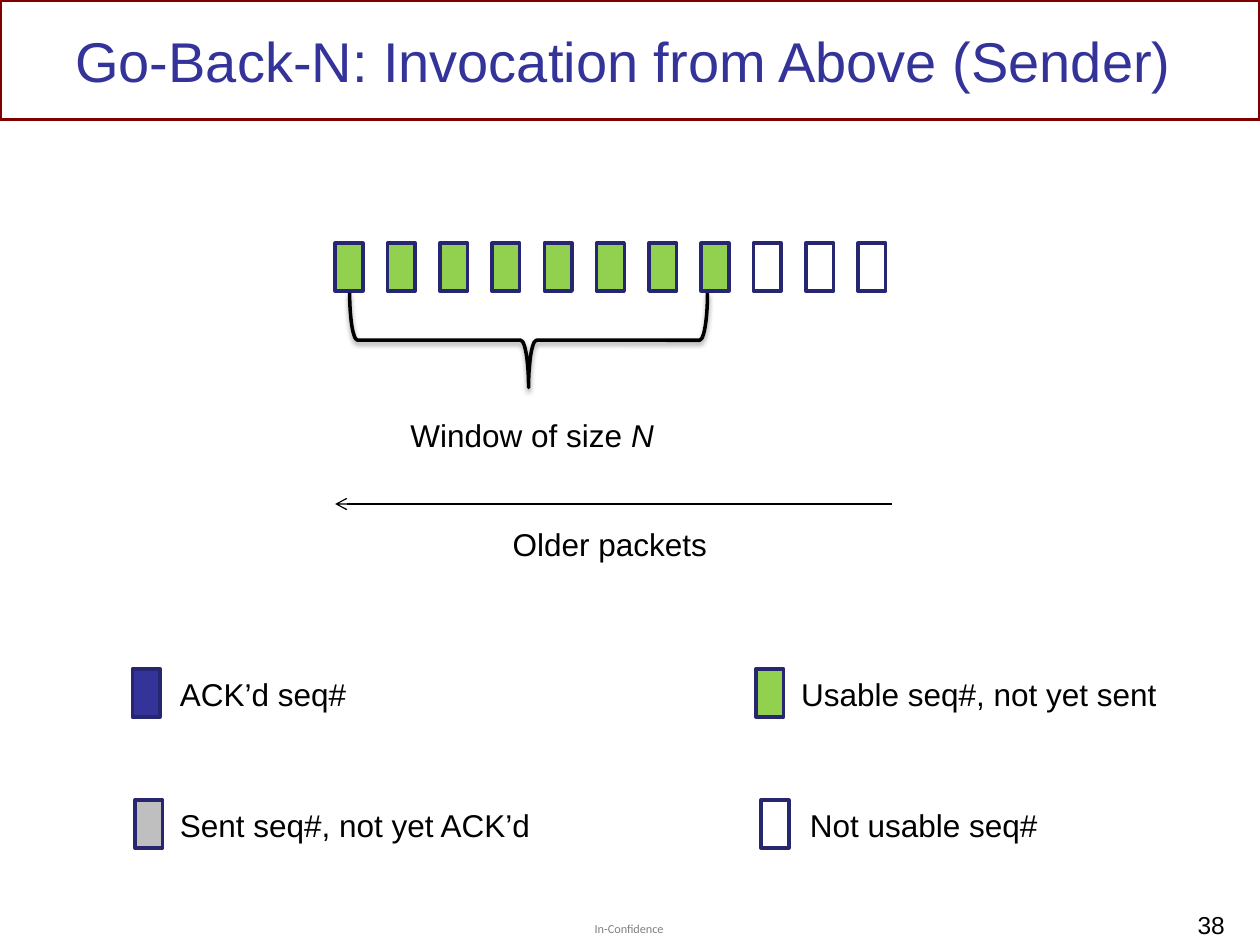
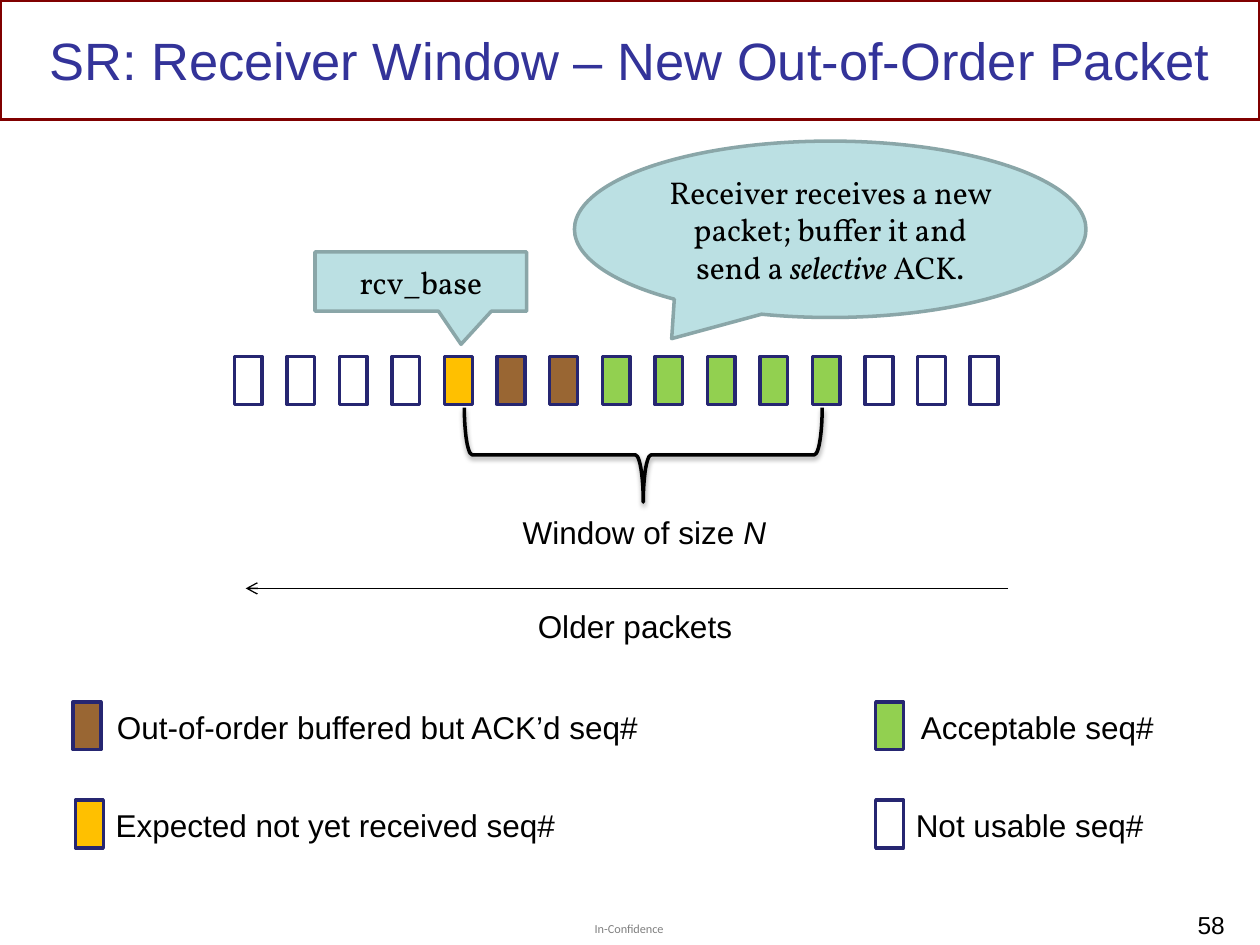
"""Build two slides on sliding-window protocols, laid out on a grid of 100 columns by 75 rows."""
from lxml import etree
from pptx import Presentation, util as u
from pptx.dml.color import RGBColor
from pptx.enum import shapes, text
from pptx.oxml.ns import qn

COLUMNS, ROWS = 100, 75
CELL = u.Inches(0.1)
PACKET_WIDTH, PACKET_HEIGHT = 2.2, 3.8
BRACE_DEPTH, BRACE_SPAN = 7.5, 28.4
COLORS = {
    "title": "333399", "band": "800000", "text": "000000", "footer": "808080",
    "outline": "262671", "callout": "BBE0E3", "callout_line": "8AA6A8",
    "acked": "333399", "sent": "BFBFBF", "usable": "92D050", "unusable": "FFFFFF",
    "expected": "FFC000", "buffered": "996633",
}
WINDOW_RUNS = [("Window of size ", False), ("N", True)]


def rgb(name):
    """Return the named colour."""
    return RGBColor.from_string(COLORS[name])


def grid(*cells):
    """Turn grid units into lengths."""
    return [round(cell * CELL) for cell in cells]


def write(shape, runs, size=18, font="Arial", color="text", align=None, anchor=None):
    """Fill a shape with one paragraph of (words, italic) runs."""
    frame = shape.text_frame
    frame.word_wrap = True
    frame.vertical_anchor = anchor
    paragraph = frame.paragraphs[0]
    paragraph.alignment = align
    paragraph.font.size = u.Pt(size)
    paragraph.font.name = font
    paragraph.font.color.rgb = rgb(color)
    for words, italic in runs:
        run = paragraph.add_run()
        run.text = words
        if italic:
            run.font.italic = True


def add_text(slide, box, runs, inset=True, **style):
    """Add a text box."""
    shape = slide.shapes.add_textbox(*grid(*box))
    if not inset:
        frame = shape.text_frame
        frame.margin_left = frame.margin_right = frame.margin_top = frame.margin_bottom = 0
    write(shape, runs, **style)
    return shape


def add_box(slide, kind, box, fill, line):
    """Add a preset shape with an outline and an optional fill."""
    shape = slide.shapes.add_shape(kind, *grid(*box))
    shape.shadow.inherit = False
    if fill:
        shape.fill.solid()
        shape.fill.fore_color.rgb = rgb(fill)
    else:
        shape.fill.background()
    shape.line.color.rgb = rgb(line)
    shape.line.width = u.Pt(2)
    return shape


def add_packet(slide, left, top, state):
    """Add one packet coloured by its state."""
    add_box(slide, shapes.MSO_SHAPE.RECTANGLE,
            (left, top, PACKET_WIDTH, PACKET_HEIGHT), state, "outline")


def add_packets(slide, first, last, top, groups):
    """Spread a row of packets evenly from first to last left edge."""
    states = [state for state, count in groups for _ in range(count)]
    pitch = (last - first) / (len(states) - 1)
    for index, state in enumerate(states):
        add_packet(slide, first + index * pitch, top, state)


def add_window(slide, center, middle, label_left, label_top):
    """Add the brace under the window and its label."""
    brace = add_box(slide, shapes.MSO_SHAPE.RIGHT_BRACE,
                    (center - BRACE_DEPTH / 2, middle - BRACE_SPAN / 2, BRACE_DEPTH, BRACE_SPAN),
                    None, "text")
    brace.rotation = 90
    effects = brace._element.spPr.find(qn("a:effectLst"))
    shadow = etree.SubElement(effects, qn("a:outerShdw"), blurRad=str(u.Pt(3.1)),
                              dist=str(u.Pt(1.6)), dir="5400000", rotWithShape="0")
    color = etree.SubElement(shadow, qn("a:srgbClr"), val=COLORS["text"])
    etree.SubElement(color, qn("a:alpha"), val="38000")
    add_text(slide, (label_left, label_top, 23, 4), WINDOW_RUNS)


def add_age_arrow(slide, start, end, top, label_left, label_top):
    """Add the arrow that points to older packets and its label."""
    arrow = slide.shapes.add_connector(shapes.MSO_CONNECTOR.STRAIGHT,
                                       *grid(start, top, end, top))
    arrow.line.color.rgb = rgb("text")
    arrow.line.width = u.Pt(0.75)
    etree.SubElement(arrow.line._get_or_add_ln(), qn("a:tailEnd"), type="arrow")
    etree.SubElement(arrow._element.spPr, qn("a:effectLst"))
    add_text(slide, (label_left, label_top, 20, 4), [("Older packets", False)])


def add_legend(slide, top, entries):
    """Add one legend row of (state, swatch left, label left, label) entries."""
    for state, swatch_left, label_left, label in entries:
        add_packet(slide, swatch_left, top, state)
        add_text(slide, (label_left, top, min(46, COLUMNS - label_left), 4), [(label, False)])


def add_callout(slide, kind, box, tip, runs):
    """Add a speech callout whose tip is given as shares of its size."""
    callout = add_box(slide, kind, box, "callout", "callout_line")
    callout.adjustments[0], callout.adjustments[1] = tip
    write(callout, runs, font="Vollkorn", align=text.PP_ALIGN.CENTER,
          anchor=text.MSO_ANCHOR.MIDDLE)


def add_slide(presentation, title, title_size, number):
    """Add a blank slide with title band, footer and page number."""
    slide = presentation.slides.add_slide(presentation.slide_layouts[6])
    add_box(slide, shapes.MSO_SHAPE.RECTANGLE, (0, 0, COLUMNS, 9.5), None, "band")
    add_text(slide, (47.2, 73.1, 8, 1.2), [("In-Confidence", False)], inset=False,
             size=7, font="Calibri", color="footer")
    add_text(slide, (0, 0.8, COLUMNS - 1 if title_size > 30 else COLUMNS, 7.9),
             [(title, False)], size=title_size, color="title",
             align=text.PP_ALIGN.CENTER, anchor=text.MSO_ANCHOR.MIDDLE)
    add_text(slide, (76.2, 71.7, 22, 3), [(number, False)], size=14,
             align=text.PP_ALIGN.RIGHT)
    return slide


def build_sender(presentation):
    """Build the Go-Back-N sender slide."""
    slide = add_slide(presentation, "Go-Back-N: Invocation from Above (Sender)", 32, "38")
    add_packets(slide, 26.6, 68.1, 19.3, [("usable", 8), ("unusable", 3)])
    add_window(slide, 41.95, 27, 31.6, 32.5)
    add_age_arrow(slide, 70.8, 26.6, 40, 39.7, 41.2)
    add_legend(slide, 53.1, [("acked", 10.5, 13.3, "ACK’d seq#"),
                             ("usable", 60, 62.6, "Usable seq#, not yet sent")])
    add_legend(slide, 63.5, [("sent", 10.7, 13.3, "Sent seq#, not yet ACK’d"),
                             ("unusable", 60.4, 63.3, "Not usable seq#")])


def build_receiver(presentation):
    """Build the Selective Repeat receiver slide."""
    slide = add_slide(presentation, "SR: Receiver Window – New Out-of-Order Packet", 30, "58")
    add_packets(slide, 18.6, 77, 28.3, [("unusable", 4), ("expected", 1), ("buffered", 2),
                                        ("usable", 5), ("unusable", 3)])
    add_window(slide, 51.05, 36.1, 40.5, 40.2)
    add_callout(slide, shapes.MSO_SHAPE.RECTANGULAR_CALLOUT, (25, 20, 16.8, 4.7),
                (0.19, 1.06), [("rcv_base", False)])
    add_callout(slide, shapes.MSO_SHAPE.OVAL_CALLOUT, (45.6, 11.2, 40.6, 14), (-0.31, 0.62),
                [("Receiver receives a new packet; buffer it and send a ", False),
                 ("selective", True), (" ACK.", False)])
    add_age_arrow(slide, 80, 19.5, 46.7, 41.7, 47.7)
    add_legend(slide, 55.7, [("buffered", 5.8, 8.3, "Out-of-order buffered but ACK’d seq#"),
                             ("usable", 69.5, 72.1, "Acceptable seq#")])
    add_legend(slide, 63.5, [("expected", 6, 8.2, "Expected not yet received seq#"),
                             ("unusable", 69.5, 71.7, "Not usable seq#")])


def main():
    """Build and save the presentation."""
    presentation = Presentation()
    presentation.slide_width, presentation.slide_height = grid(COLUMNS, ROWS)
    build_sender(presentation)
    build_receiver(presentation)
    presentation.save("out.pptx")


if __name__ == "__main__":
    main()
